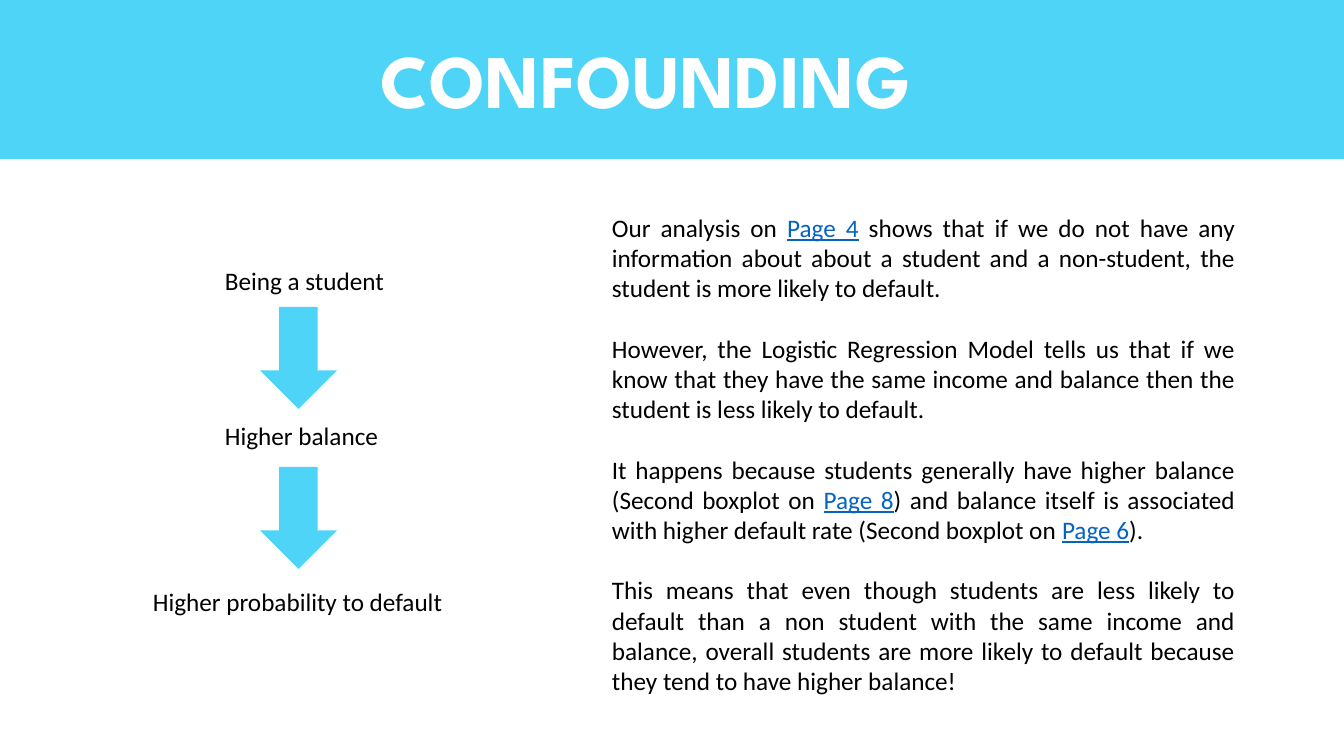
from dataclasses import dataclass

from pptx import Presentation
from pptx import util as u
from pptx.dml.color import RGBColor
from pptx.enum import shapes, text


@dataclass(frozen=True)
class Theme:
    sky: str = "4DD4F6"
    white: str = "FFFFFF"
    black: str = "000000"
    link: str = "0563C1"
    title_font: str = "League Spartan"
    body_font: str = "Calibri"
    title_size: int = 54
    body_size: int = 18
    paragraph_gap: float = 21.6


theme = Theme()
SCALE = 914400 / 100.8

presentation = Presentation()
presentation.slide_width = round(1344 * SCALE)
presentation.slide_height = round(756 * SCALE)
slide = presentation.slides.add_slide(presentation.slide_layouts[6])


def add_block(kind, *box):
    shape = slide.shapes.add_shape(kind, *[round(value * SCALE) for value in box])
    shape.shadow.inherit = False
    shape.fill.solid()
    shape.fill.fore_color.rgb = RGBColor.from_string(theme.sky)
    shape.line.fill.background()


def add_text(paragraphs, box, font=theme.body_font, size=theme.body_size, color=theme.black):
    frame = slide.shapes.add_textbox(*[round(value * SCALE) for value in box]).text_frame
    frame.word_wrap = True
    for index, pieces in enumerate(paragraphs):
        paragraph = frame.add_paragraph() if index else frame.paragraphs[0]
        for piece in pieces:
            run = paragraph.add_run()
            run.text = piece
            is_link = piece.startswith("Page ")
            run.font.name = font
            run.font.size = u.Pt(size)
            run.font.underline = is_link
            run.font.color.rgb = RGBColor.from_string(theme.link if is_link else color)
    return frame


add_block(shapes.MSO_SHAPE.RECTANGLE, 0, 0, 1344, 159)
title = add_text([["CONFOUNDING"]], (371, 28, 603, 102),
                 theme.title_font, theme.title_size, theme.white)
title.paragraphs[0].runs[0].font.bold = True

explanation = add_text([
    ["Our analysis on ", "Page 4",
     " shows that if we do not have any information about about a student and "
     "a non-student, the student is more likely to default."],
    ["However, the Logistic Regression Model tells us that if we know that they have "
     "the same income and balance then the student is less likely to default."],
    ["It happens because students generally have higher balance (Second boxplot on ",
     "Page 8", ") and balance itself is associated with higher default rate "
     "(Second boxplot on ", "Page 6", ")."],
    ["This means that even though students are less likely to default than a non student "
     "with the same income and balance, overall students are more likely to default "
     "because they tend to have higher balance!"],
], (602, 207, 643, 499))
for paragraph in explanation.paragraphs:
    paragraph.alignment = text.PP_ALIGN.JUSTIFY
for paragraph in explanation.paragraphs[:-1]:
    paragraph.space_after = u.Pt(theme.paragraph_gap)

for step, left, top in [
    ("Being a student", 215, 260),
    ("Higher balance", 215, 415),
    ("Higher probability to default", 143, 581),
]:
    add_text([[step]], (left, top, 311, 40))

for arrow_top in (307, 467):
    add_block(shapes.MSO_SHAPE.DOWN_ARROW, 260, arrow_top, 77, 102)

presentation.save("out.pptx")
